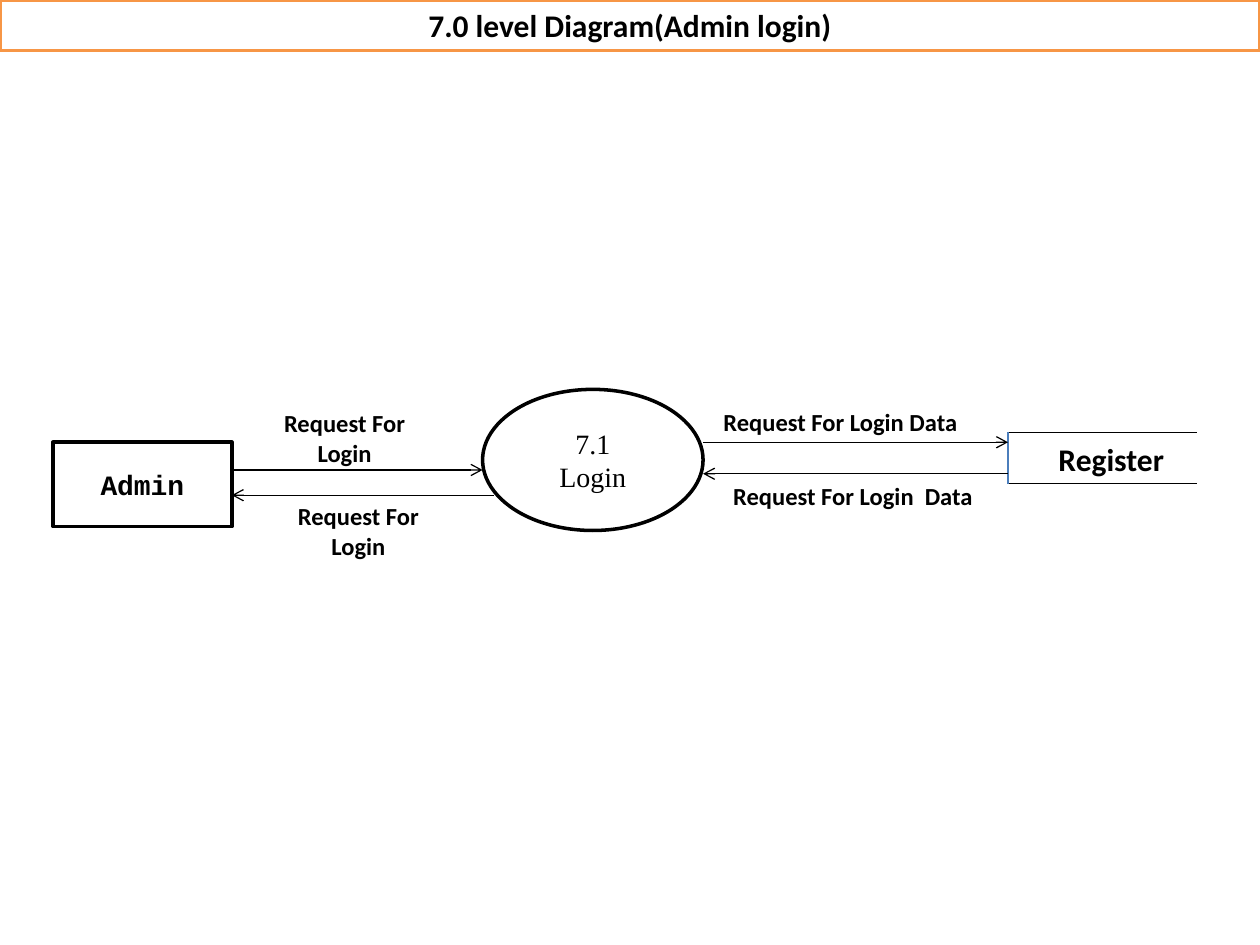
import pptx
import pptx.util
import pptx.dml.color
import pptx.enum.shapes
import pptx.enum.text
import pptx.oxml
import pptx.oxml.ns

Inches = pptx.util.Inches
Kind = pptx.enum.shapes.MSO_SHAPE
Anchor = pptx.enum.text.MSO_ANCHOR


def color(code):
    return pptx.dml.color.RGBColor.from_string(code)


def write(frame, text, font="Calibri", size=14, bold=True, ink="000000",
          wrap=True, anchor=Anchor.TOP):
    """Fill a text frame with centred lines, one paragraph each."""
    frame.word_wrap = wrap
    frame.vertical_anchor = anchor
    frame.text = text
    for para in frame.paragraphs:
        para.alignment = pptx.enum.text.PP_ALIGN.CENTER
        for run in para.runs:
            run.font.name = font
            run.font.size = pptx.util.Pt(size)
            run.font.bold = bold
            run.font.color.rgb = color(ink)


class Diagram:
    ink = "000000"
    paper = "FFFFFF"
    thin = 0.75
    thick = 2

    def __init__(self, slide):
        self.shapes = slide.shapes

    def label(self, box, text, **style):
        item = self.shapes.add_textbox(*map(Inches, box))
        write(item.text_frame, text, **style)

    def node(self, kind, box, text, edge=ink, fill=paper, **style):
        item = self.shapes.add_shape(kind, *map(Inches, box))
        item.shadow.inherit = False
        if fill:
            item.fill.solid()
            item.fill.fore_color.rgb = color(fill)
        else:
            item.fill.background()
        item.line.color.rgb = color(edge)
        item.line.width = pptx.util.Pt(self.thick)
        write(item.text_frame, text, anchor=Anchor.MIDDLE, **style)

    def line(self, start, end, ink=ink, arrow=False):
        item = self.shapes.add_connector(
            pptx.enum.shapes.MSO_CONNECTOR.STRAIGHT, *map(Inches, start + end))
        item.line.color.rgb = color(ink)
        item.line.width = pptx.util.Pt(self.thin)
        props = item._element.spPr
        if arrow:
            tip = pptx.oxml.parse_xml(
                f'<a:tailEnd {pptx.oxml.ns.nsdecls("a")} type="arrow"/>')
            item.line._get_or_add_ln().append(tip)
        props.append(pptx.oxml.parse_xml(
            f'<a:effectLst {pptx.oxml.ns.nsdecls("a")}/>'))

    def flow(self, start, end, y):
        self.line((start, y), (end, y), arrow=True)


def main():
    deck = pptx.Presentation()
    deck.slide_width, deck.slide_height = Inches(10), Inches(7.5)
    art = Diagram(deck.slides.add_slide(deck.slide_layouts[6]))

    art.node(Kind.RECTANGLE, (0, 0, 10, 0.4), "7.0 level Diagram(Admin login)",
             edge="F79646", fill=None, size=18)

    # Data store, open on the right
    store, top, base = 8, 3.43, 3.84
    for y in (top, base):
        art.line((store, y), (9.5, y))
    art.line((store, top), (store, base), ink="4B7EBC")
    art.label((8.3, 3.44, 1.04, 0.4), "Register", size=18, wrap=False)

    art.node(Kind.OVAL, (3.83, 3.09, 1.75, 1.12), "7.1\nLogin",
             font="Times New Roman", size=16, bold=False)
    art.node(Kind.FLOWCHART_PROCESS, (0.42, 3.51, 1.42, 0.67), "Admin",
             font="Courier New", size=16, wrap=False)

    for start, end, y in ((1.84, 3.83, 3.73), (3.92, 1.84, 3.93),
                          (5.58, store, 3.51), (store, 5.58, 3.76)):
        art.flow(start, end, y)

    for x, y in ((1.97, 3.19), (2.08, 3.93)):
        art.label((x, y, 1.53, 0.57), "Request For\nLogin", wrap=False)
    art.label((5.43, 3.18, 2.48, 0.57), "Request For Login Data")
    art.label((5.46, 3.77, 2.62, 0.57), "Request For Login  Data")

    deck.save("out.pptx")


if __name__ == "__main__":
    main()
